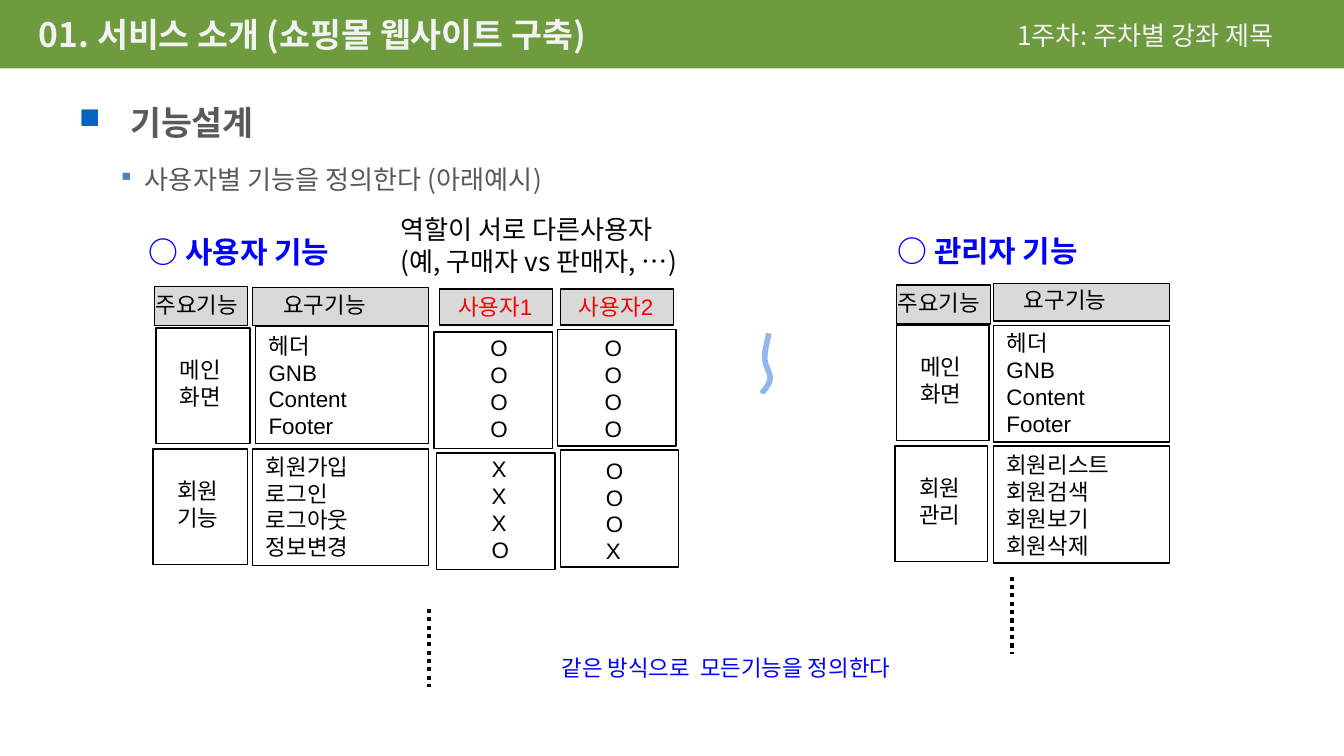
from lxml import etree
from pptx import Presentation
from pptx.dml.color import RGBColor
from pptx.enum.dml import MSO_LINE
from pptx.enum.shapes import MSO_CONNECTOR, MSO_SHAPE
from pptx.enum.text import MSO_ANCHOR, MSO_AUTO_SIZE
from pptx.oxml.ns import qn
from pptx.util import Inches, Pt

RECTANGLE = MSO_SHAPE.RECTANGLE
STRAIGHT = MSO_CONNECTOR.STRAIGHT
DOTTED = MSO_LINE.ROUND_DOT
TOP, MIDDLE = MSO_ANCHOR.TOP, MSO_ANCHOR.MIDDLE
FIXED, GROW = MSO_AUTO_SIZE.NONE, MSO_AUTO_SIZE.SHAPE_TO_FIT_TEXT

GREEN = RGBColor(0x6D, 0x9B, 0x3E)
OFF_WHITE = RGBColor(0xF2, 0xF2, 0xF2)
DARK_GRAY = RGBColor(0x59, 0x59, 0x59)
HEADER_GRAY = RGBColor(0xD9, 0xD9, 0xD9)
BLACK = RGBColor(0, 0, 0)
RED = RGBColor(0xFF, 0, 0)
BLUE = RGBColor(0, 0, 0xFF)
LIGHT_BLUE = RGBColor(0x92, 0xB7, 0xEE)

KOREAN, LATIN = "Noto Sans CJK KR", "Arial"
WIDTH = 10
HEIGHT = WIDTH * 9 / 16
LINE_HEIGHT, PADDING = 0.2, 0.1

# Content: text, box (left, top, width, height), format
BAND_FORMAT = dict(color=OFF_WHITE, inset=0.06, spacing=0.8, anchor=MIDDLE, fit=FIXED)
LABELS = [
    (["01. 서비스 소개 (쇼핑몰 웹사이트 구축)"], (0.23, 0.13, 5.38, 0.31),
     dict(BAND_FORMAT, size=18, bold=True)),
    (["1주차: 주차별 강좌 제목"], (7.51, 0.13, 2.26, 0.31), dict(BAND_FORMAT, size=14)),
    (["역할이 서로 다른사용자", "(예, 구매자 vs 판매자, …)"], (2.88, 1.54, 2.71, 0.57),
     dict(size=14)),
    (["○ 관리자 기능"], (6.58, 1.68, 2.72, 0.37), dict(size=16, color=BLUE, bold=True)),
    (["○ 사용자 기능"], (1.01, 1.69, 2.71, 0.37), dict(size=16, color=BLUE, bold=True)),
    (["같은 방식으로  모든기능을 정의한다"], (4.08, 4.82, 3.04, 0.3),
     dict(size=12, color=BLUE, font=LATIN)),
]
# Bullets: text, character, bullet colour, indent, hanging, size, bold
BULLETS = [
    ("기능설계", "■", "0365C0", 0.38, 0.38, 18, True),
    ("사용자별 기능을 정의한다 (아래예시)", "▪", "4F81BD", 0.49, 0.2, 14, False),
]
BULLET_SIZE = 85  # percent of the text
# Header cells: text, box, text left, text top, text width, colour
HEADERS = [
    ("주요기능", (1.15, 2.13, 0.69, 0.29), 1.06, 2.12, 0.88, BLACK),
    ("요구기능", (1.88, 2.14, 1.31, 0.28), 2.01, 2.12, 0.88, BLACK),
    ("사용자1", (3.27, 2.15, 0.84, 0.27), 3.31, 2.13, 0.8, RED),
    ("사용자2", (4.17, 2.15, 0.84, 0.27), 4.21, 2.13, 0.8, RED),
    ("주요기능", (6.67, 2.12, 0.7, 0.29), 6.58, 2.1, 0.88, BLACK),
    ("요구기능", (7.39, 2.11, 1.31, 0.28), 7.52, 2.08, 0.88, BLACK),
]
# Body cells: lines, box, text left, text top, text width
CELLS = [
    ("메인 화면", (1.16, 2.44, 0.7, 0.86), 1.24, 2.6, 0.54),
    ("헤더 GNB Content Footer", (1.9, 2.43, 1.29, 0.87), 1.9, 2.42, 0.79),
    ("O O O O", (3.23, 2.47, 0.88, 0.87), 3.55, 2.44, 0.33),
    ("O O O O", (4.15, 2.45, 0.88, 0.87), 4.4, 2.44, 0.33),
    ("회원 기능", (1.14, 3.34, 0.7, 0.86), 1.22, 3.5, 0.54),
    ("회원가입 로그인 로그아웃 정보변경", (1.88, 3.34, 1.31, 0.87), 1.88, 3.32, 0.88),
    ("X X X O", (3.25, 3.37, 0.88, 0.87), 3.56, 3.34, 0.33),
    ("O O O X", (4.17, 3.35, 0.88, 0.87), 4.41, 3.35, 0.33),
    ("메인 화면", (6.67, 2.42, 0.69, 0.86), 6.75, 2.58, 0.54),
    ("헤더 GNB Content Footer", (7.39, 2.42, 1.31, 0.87), 7.39, 2.4, 0.79),
    ("회원 관리", (6.66, 3.32, 0.69, 0.86), 6.74, 3.48, 0.54),
    ("회원리스트 회원검색 회원보기 회원삭제", (7.39, 3.32, 1.31, 0.87), 7.39, 3.31, 1.04),
]
DOTTED_LINES = [(3.19, 4.53), (7.53, 4.29)]
DOTTED_LENGTH = 0.58
# Squiggle: start point, then cubic curves (control, control, end)
SQUIGGLE_START = (5.72, 2.48)
SQUIGGLE_CURVES = [
    ((5.71, 2.54), (5.69, 2.6), (5.69, 2.66)),
    ((5.69, 2.72), (5.73, 2.77), (5.73, 2.81)),
    ((5.73, 2.86), (5.68, 2.91), (5.68, 2.91)),
    ((5.67, 2.92), (5.68, 2.91), (5.69, 2.91)),
]

presentation = Presentation()
presentation.slide_width, presentation.slide_height = Inches(WIDTH), Inches(HEIGHT)
slide = presentation.slides.add_slide(presentation.slide_layouts[6])
shapes = slide.shapes


def add_run(paragraph, text, size, color, bold, font):
    run = paragraph.add_run()
    run.text = text
    run.font.size, run.font.bold, run.font.name = Pt(size), bold, font
    run.font.color.rgb = color


def add_text(lines, box, size=12, color=BLACK, bold=False, font=KOREAN,
             inset=None, spacing=None, anchor=TOP, wrap=True, fit=GROW):
    frame = shapes.add_textbox(*map(Inches, box)).text_frame
    frame.word_wrap, frame.vertical_anchor, frame.auto_size = wrap, anchor, fit
    if inset is not None:
        frame.margin_left = frame.margin_right = Inches(inset)
        frame.margin_top = frame.margin_bottom = Inches(inset)
    for index, line in enumerate(lines):
        paragraph = frame.add_paragraph() if index else frame.paragraphs[0]
        if spacing:
            paragraph.line_spacing = spacing
        add_run(paragraph, line, size, color, bold, font)
    return frame


def add_box(box, fill=None, line=None):
    shape = shapes.add_shape(RECTANGLE, *map(Inches, box))
    shape.shadow.inherit = False
    if fill is None:
        shape.fill.background()
    else:
        shape.fill.solid()
        shape.fill.fore_color.rgb = fill
    if line is None:
        shape.line.fill.background()
    else:
        shape.line.color.rgb, shape.line.width = line, Pt(0.75)


def add_cell(lines, box, left, top, width, color=BLACK, fill=None):
    add_box(box, fill, BLACK)
    height = PADDING + LINE_HEIGHT * len(lines)
    add_text(lines, (left, top, width, height), color=color, font=LATIN, wrap=False)


def curve_points(start, curves, steps=8):
    for first, second, end in curves:
        for step in range(1, steps + 1):
            t = step / steps
            yield tuple(Inches((1 - t) ** 3 * a + 3 * t * (1 - t) ** 2 * b
                               + 3 * t ** 2 * (1 - t) * c + t ** 3 * d)
                        for a, b, c, d in zip(start, first, second, end))
        start = end


# Title band and labels
add_box((0, 0, WIDTH, 0.51), GREEN)
for lines, box, text_format in LABELS:
    add_text(lines, box, **text_format)

# Bulleted heading
body = add_text([], (0.49, 0.56, 8.07, 1.04), fit=FIXED)
for index, (text, character, bullet_color, indent, hanging, size, bold) in enumerate(BULLETS):
    paragraph = body.add_paragraph() if index else body.paragraphs[0]
    paragraph.level, paragraph.line_spacing = index, 1.5
    if index:
        paragraph.space_before, paragraph.space_after = Pt(3), Pt(4)
    properties = paragraph._p.get_or_add_pPr()
    properties.set("marL", str(Inches(indent)))
    properties.set("indent", str(-Inches(hanging)))
    color_element = etree.SubElement(properties, qn("a:buClr"))
    etree.SubElement(color_element, qn("a:srgbClr")).set("val", bullet_color)
    etree.SubElement(properties, qn("a:buSzPct")).set("val", str(BULLET_SIZE * 1000))
    etree.SubElement(properties, qn("a:buChar")).set("char", character)
    add_run(paragraph, text, size, DARK_GRAY, bold, KOREAN)

# Function tables
for text, box, left, top, width, color in HEADERS:
    add_cell([text], box, left, top, width, color, HEADER_GRAY)
for text, box, left, top, width in CELLS:
    add_cell(text.split(), box, left, top, width)

# Dotted continuation lines
for x, y in DOTTED_LINES:
    line = shapes.add_connector(STRAIGHT, Inches(x), Inches(y), Inches(x), Inches(y + DOTTED_LENGTH))
    line.line.color.rgb, line.line.width = BLACK, Pt(2.25)
    line.line.dash_style = DOTTED
    etree.SubElement(line._element.spPr, qn("a:effectLst"))

# Squiggle between the two tables
builder = shapes.build_freeform(*map(Inches, SQUIGGLE_START))
builder.add_line_segments(list(curve_points(SQUIGGLE_START, SQUIGGLE_CURVES)), close=False)
squiggle = builder.convert_to_shape()
squiggle.shadow.inherit = False
squiggle.fill.background()
squiggle.line.color.rgb, squiggle.line.width = LIGHT_BLUE, Pt(3)

presentation.save("out.pptx")
